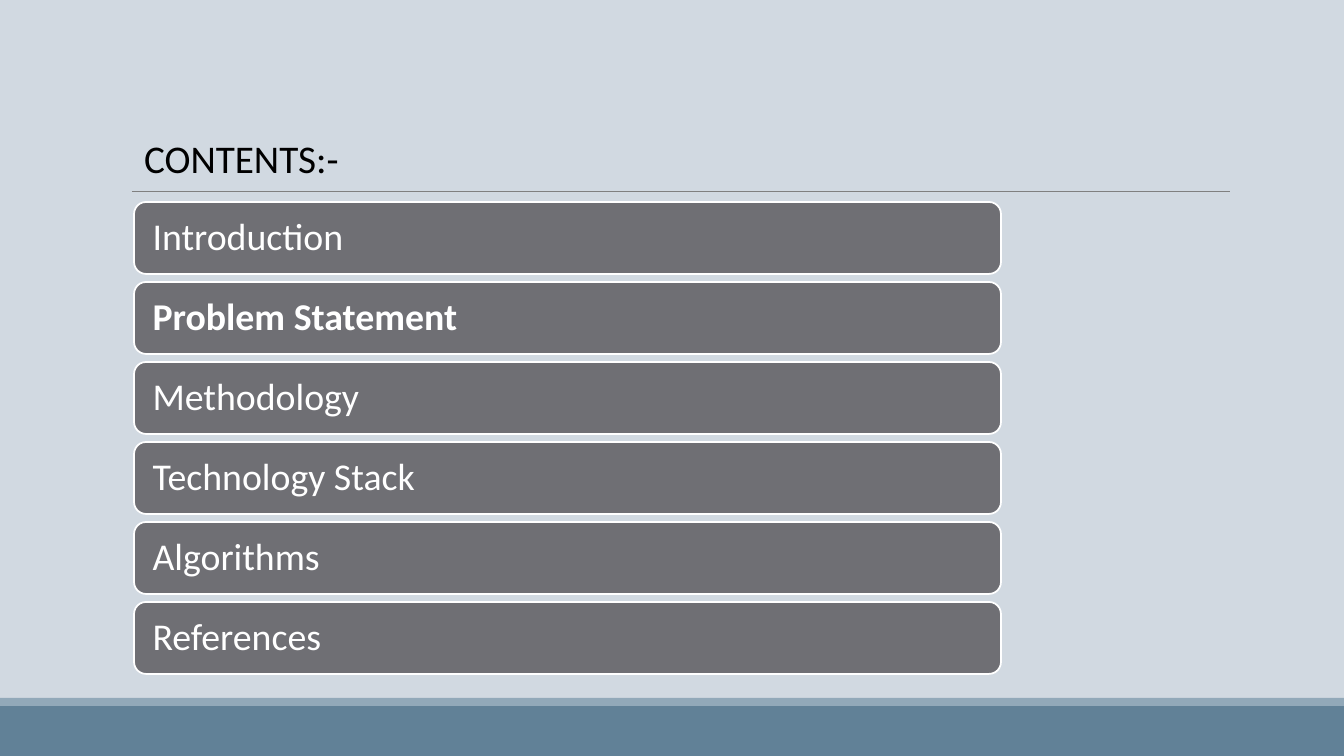
"""Build the contents slide: a title above six topic bars."""
from dataclasses import dataclass

from lxml import etree
from pptx import Presentation
from pptx import util as u
from pptx.dml.color import RGBColor
from pptx.enum import shapes, text
from pptx.oxml.ns import qn


@dataclass(frozen=True)
class Theme:
    font: str = "Calibri"
    background: str = "D1D9E1"
    footer: str = "618197"
    footer_edge: str = "92A9B9"
    rule: str = "808080"
    bar: str = "6F6F74"
    light: str = "FFFFFF"
    dark: str = "000000"
    title_size: int = 28
    bar_size: int = 27


def px(n):
    return u.Emu(round(n * 914400 / 100.8))


def rgb(value):
    return RGBColor.from_string(value)


class Deck:
    def __init__(self, theme):
        self.theme = theme
        self.prs = Presentation()
        self.prs.slide_width, self.prs.slide_height = px(1344), px(756)
        self.s = self.prs.slides.add_slide(self.prs.slide_layouts[5])
        fill = self.s.background.fill
        fill.solid()
        fill.fore_color.rgb = rgb(theme.background)

    def add_text(self, tf, words, size, color, bold=False):
        p = tf.paragraphs[0]
        p.alignment = text.PP_ALIGN.LEFT
        r = p.add_run()
        r.text = words
        r.font.name = self.theme.font
        r.font.size = u.Pt(size)
        r.font.bold = bold
        r.font.color.rgb = rgb(color)
        return p

    def box(self, kind, x, y, w, h, fill, line=None):
        sp = self.s.shapes.add_shape(kind, px(x), px(y), px(w), px(h))
        sp.shadow.inherit = False
        sp.fill.solid()
        sp.fill.fore_color.rgb = rgb(fill)
        if line:
            sp.line.color.rgb = rgb(line)
            sp.line.width = u.Pt(1.25)
        else:
            sp.line.fill.background()
        return sp

    def band(self, y, h, fill):
        self.box(shapes.MSO_SHAPE.RECTANGLE, 0, y, 1344, h, fill)

    def rule(self, x1, x2, y):
        c = self.s.shapes.add_connector(
            shapes.MSO_CONNECTOR.STRAIGHT, px(x1), px(y), px(x2), px(y))
        c.line.color.rgb = rgb(self.theme.rule)
        c.line.width = u.Pt(0.5)
        etree.SubElement(c._element.spPr, qn("a:effectLst"))

    def title(self, x, y, w, h, words):
        sp = self.s.shapes.title
        sp.left, sp.top, sp.width, sp.height = px(x), px(y), px(w), px(h)
        tf = sp.text_frame
        tf.word_wrap = True
        tf.auto_size = text.MSO_AUTO_SIZE.SHAPE_TO_FIT_TEXT
        tf.vertical_anchor = text.MSO_ANCHOR.TOP
        self.add_text(tf, words, self.theme.title_size, self.theme.dark)

    def bar(self, x, y, w, h, words, bold):
        sp = self.box(shapes.MSO_SHAPE.ROUNDED_RECTANGLE, x, y, w, h,
                      self.theme.bar, self.theme.light)
        tf = sp.text_frame
        tf.word_wrap = True
        tf.vertical_anchor = text.MSO_ANCHOR.MIDDLE
        tf.margin_left = tf.margin_right = px(15)
        tf.margin_top = tf.margin_bottom = px(11)
        p = self.add_text(tf, words, self.theme.bar_size, self.theme.light, bold)
        p.line_spacing = 0.9


def main():
    theme = Theme()
    deck = Deck(theme)
    deck.band(706, 50, theme.footer)
    deck.band(698, 8, theme.footer_edge)
    deck.rule(132, 1230, 191)
    deck.title(134, 129, 369, 59, "CONTENTS:-")
    topics = ["Introduction", "Problem Statement", "Methodology",
              "Technology Stack", "Algorithms", "References"]
    for i, topic in enumerate(topics):
        deck.bar(134, 202 + 80 * i, 867, 72, topic, topic == "Problem Statement")
    deck.prs.save("out.pptx")


if __name__ == "__main__":
    main()
